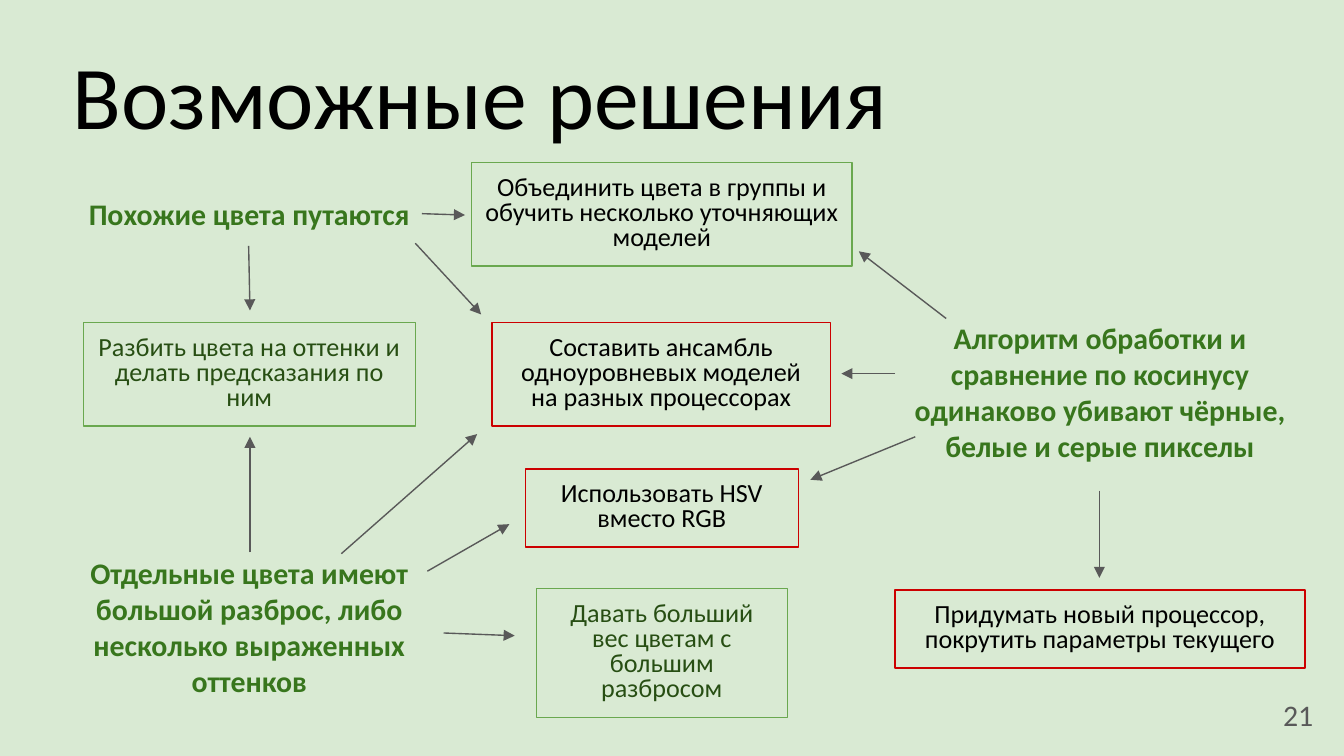
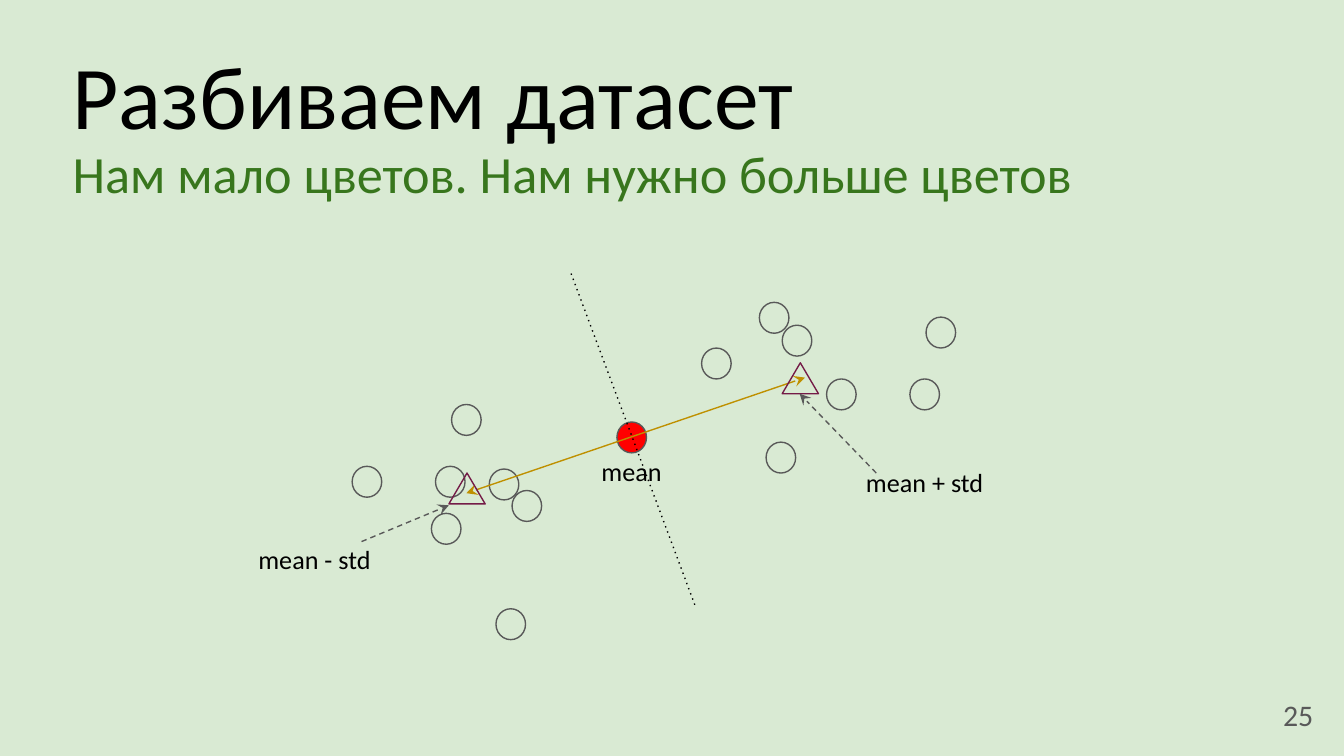
import lxml.etree
import pptx
import pptx.dml.color
import pptx.enum.shapes
import pptx.enum.text
import pptx.oxml.ns
import pptx.util

PX = 9144
SLIDE_WIDTH = 1000
SLIDE_HEIGHT = SLIDE_WIDTH * 9 / 16

FONT = "Calibri"
BACKGROUND = "D9EAD3"
BLACK = "000000"
GRAY = "595959"
GREEN = "38761D"
DARK_GREEN = "274E13"
LIGHT_GREEN = "6AA84F"
RED = "CC0000"
BRIGHT_RED = "FF0000"
GOLD = "BF9000"
PURPLE = "741B47"

TITLE_BOX = (44, 20, 911, 101)
SUBTITLE_BOX = (44, 95, 911, 67)
NUMBER_BOX = (927, 510, 60, 43)

SOLUTIONS_TITLE = "Возможные решения"
SOLUTIONS_NUMBER = "21"
PROBLEMS = [
    ("Похожие цвета путаются", (53, 136, 265, 47)),
    ("Алгоритм обработки и сравнение по косинусу одинаково убивают чёрные, "
     "белые и серые пикселы", (666, 228, 305, 128)),
    ("Отдельные цвета имеют большой разброс, либо несколько выраженных оттенков",
     (44, 403, 283, 128)),
]
SOLUTIONS = [
    ("Объединить цвета в группы и обучить несколько уточняющих моделей",
     (351, 121, 283, 77), LIGHT_GREEN, BLACK),
    ("Разбить цвета на оттенки и делать предсказания по ним",
     (62, 240, 247, 77), LIGHT_GREEN, DARK_GREEN),
    ("Придумать новый процессор, покрутить параметры текущего",
     (666, 439, 305, 58), RED, BLACK),
    ("Составить ансамбль одноуровневых моделей на разных процессорах",
     (366, 240, 252, 77), RED, BLACK),
    ("Давать больший вес цветам с большим разбросом",
     (399, 438, 187, 96), LIGHT_GREEN, DARK_GREEN),
    ("Использовать HSV вместо RGB", (391, 349, 203, 58), RED, BLACK),
]
SOLUTION_ARROWS = [
    ((314, 159), (346, 160)),
    ((185, 183), (186, 231)),
    ((309, 181), (358, 234)),
    ((704, 237), (639, 187)),
    ((666, 278), (626, 278)),
    ((681, 325), (603, 357)),
    ((818, 365), (818, 430)),
    ((186, 411), (186, 325)),
    ((254, 412), (355, 323)),
    ((318, 425), (379, 390)),
    ((330, 471), (383, 473)),
]

DATASET_TITLE = "Разбиваем датасет"
DATASET_SUBTITLE = "Нам мало цветов. Нам нужно больше цветов"
DATASET_NUMBER = "25"
POINT_SIZE = (22, 23)
POINTS = [
    (565, 225), (582, 242), (522, 259), (689, 236), (615, 282), (677, 282), (570, 329),
    (364, 349), (381, 365), (321, 382), (336, 301), (262, 347), (324, 347), (369, 453),
]
MEAN_POINT = (459, 314)
CENTER_SIZE = (27, 23)
CENTERS = [(582, 270), (334, 352)]
LABELS = [
    ("mean", (430, 329, 80, 44)),
    ("mean + std", (632, 337, 112, 44)),
    ("mean - std", (178, 394, 112, 44)),
]
CENTER_LINE = ((347, 367), (599, 281))
LABEL_ARROWS = [((269, 403), (334, 376)), ((652, 352), (595, 293))]
SPLIT_LINE = ((517, 450), (424, 201))


def color(value):
    return pptx.dml.color.RGBColor.from_string(value)


def emu(values):
    return [round(value * PX) for value in values]


def place(shape, box):
    shape.left, shape.top, shape.width, shape.height = emu(box)


def write(shape, text, size, text_color, align="LEFT", bold=False, spacing=None,
          anchor="TOP", grow=True):
    frame = shape.text_frame
    frame.word_wrap = True
    frame.auto_size = (pptx.enum.text.MSO_AUTO_SIZE.SHAPE_TO_FIT_TEXT if grow
                       else pptx.enum.text.MSO_AUTO_SIZE.NONE)
    frame.vertical_anchor = pptx.enum.text.MSO_ANCHOR[anchor]
    frame.margin_left = frame.margin_top = frame.margin_right = frame.margin_bottom = 10 * PX
    paragraph = frame.paragraphs[0]
    paragraph.alignment = pptx.enum.text.PP_ALIGN[align]
    if spacing:
        paragraph.line_spacing = spacing
    run = paragraph.add_run()
    run.text = text
    run.font.name = FONT
    run.font.size = pptx.util.Pt(size)
    run.font.bold = bold
    run.font.color.rgb = color(text_color)
    return paragraph


def add_text(slide, box, text, size, text_color, **style):
    write(slide.shapes.add_textbox(*emu(box)), text, size, text_color, **style)


def add_shape(slide, kind, box, line_color, fill=None):
    shape = slide.shapes.add_shape(pptx.enum.shapes.MSO_SHAPE[kind], *emu(box))
    shape.shadow.inherit = False
    if fill:
        shape.fill.solid()
        shape.fill.fore_color.rgb = color(fill)
    else:
        shape.fill.background()
    shape.line.color.rgb = color(line_color)
    shape.line.width = pptx.util.Pt(0.75)
    return shape


def add_line(slide, ends, line_color, dash=None, head=None, tail=None):
    start, end = ends
    connector = slide.shapes.add_connector(
        pptx.enum.shapes.MSO_CONNECTOR.STRAIGHT, *emu(start + end))
    connector.line.color.rgb = color(line_color)
    connector.line.width = pptx.util.Pt(0.75)
    outline = connector.line._get_or_add_ln()
    for tag, attribute, value in (("a:prstDash", "val", dash), ("a:headEnd", "type", head),
                                  ("a:tailEnd", "type", tail)):
        if value:
            lxml.etree.SubElement(outline, pptx.oxml.ns.qn(tag)).set(attribute, value)
    lxml.etree.SubElement(connector.element.spPr, pptx.oxml.ns.qn("a:effectLst"))


def add_slide(presentation, layout_name, title, number):
    slide = presentation.slides.add_slide(presentation.slide_layouts.get_by_name(layout_name))
    place(slide.shapes.title, TITLE_BOX)
    write(slide.shapes.title, title, 48, BLACK)
    add_text(slide, NUMBER_BOX, number, 16, GRAY, align="RIGHT", anchor="MIDDLE", grow=False)
    return slide


def build_solutions(presentation):
    slide = add_slide(presentation, "Title Only", SOLUTIONS_TITLE, SOLUTIONS_NUMBER)
    for text, box in PROBLEMS:
        add_text(slide, box, text, 16, GREEN, align="CENTER", bold=True)
    for text, box, line_color, text_color in SOLUTIONS:
        rectangle = add_shape(slide, "RECTANGLE", box, line_color)
        write(rectangle, text, 14, text_color, align="CENTER", spacing=0.8)
    for ends in SOLUTION_ARROWS:
        add_line(slide, ends, GRAY, tail="triangle")


def build_dataset(presentation):
    slide = add_slide(presentation, "Title and Content", DATASET_TITLE, DATASET_NUMBER)
    subtitle = slide.placeholders[1]
    place(subtitle, SUBTITLE_BOX)
    paragraph = write(subtitle, DATASET_SUBTITLE, 28, GREEN)
    properties = paragraph._p.get_or_add_pPr()
    properties.set("marL", "0")
    properties.set("indent", "0")
    lxml.etree.SubElement(properties, pptx.oxml.ns.qn("a:buNone"))
    paragraph.space_before = pptx.util.Pt(0)

    for point in POINTS:
        add_shape(slide, "OVAL", point + POINT_SIZE, GRAY)
    add_shape(slide, "OVAL", MEAN_POINT + POINT_SIZE, GRAY, BRIGHT_RED)
    for text, box in LABELS:
        add_text(slide, box, text, 14, BLACK, align="CENTER")
    add_line(slide, CENTER_LINE, GOLD, head="stealth", tail="stealth")
    for center in CENTERS:
        add_shape(slide, "ISOSCELES_TRIANGLE", center + CENTER_SIZE, PURPLE)
    for ends in LABEL_ARROWS:
        add_line(slide, ends, GRAY, dash="dash", tail="stealth")
    add_line(slide, SPLIT_LINE, BLACK, dash="dot")


def main():
    presentation = pptx.Presentation()
    presentation.slide_width, presentation.slide_height = emu((SLIDE_WIDTH, SLIDE_HEIGHT))
    background = presentation.slide_master.background.fill
    background.solid()
    background.fore_color.rgb = color(BACKGROUND)
    build_solutions(presentation)
    build_dataset(presentation)
    presentation.save("out.pptx")


if __name__ == "__main__":
    main()
